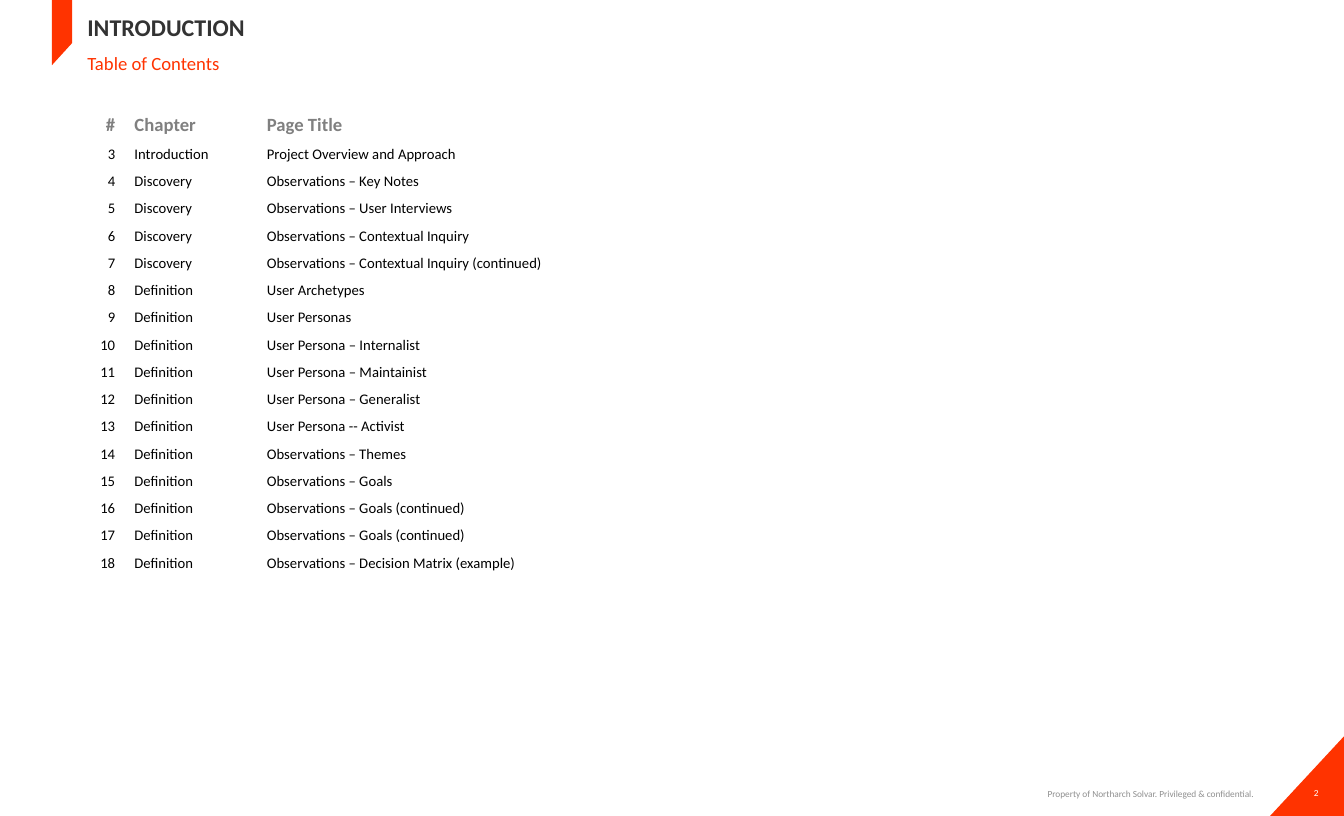
from pptx import Presentation
from pptx.dml.color import RGBColor
from pptx.enum import shapes, text
from pptx.util import Inches, Pt

ORANGE = RGBColor(0xFF, 0x33, 0x00)
WHITE = RGBColor(0xFF, 0xFF, 0xFF)
BLACK = RGBColor(0x00, 0x00, 0x00)
TITLE_GRAY = RGBColor(0x33, 0x33, 0x33)
HEADER_GRAY = RGBColor(0x80, 0x80, 0x80)
FOOTER_GRAY = RGBColor(0x90, 0x90, 0x90)
FONT = "Calibri"
LEFT, CENTER, RIGHT = text.PP_ALIGN.LEFT, text.PP_ALIGN.CENTER, text.PP_ALIGN.RIGHT
TOP, MIDDLE, BOTTOM = text.MSO_ANCHOR.TOP, text.MSO_ANCHOR.MIDDLE, text.MSO_ANCHOR.BOTTOM

HEADERS = ("#", "Chapter", "Page Title")
COLUMN_WIDTHS = (0.43, 1.38, 4.92)
HEADER_HEIGHT, ROW_HEIGHT = 0.29, 0.24
FIRST_PAGE = 3
CHAPTERS = {
    "Introduction": ["Project Overview and Approach"],
    "Discovery": [
        "Observations – Key Notes",
        "Observations – User Interviews",
        "Observations – Contextual Inquiry",
        "Observations – Contextual Inquiry (continued)",
    ],
    "Definition": [
        "User Archetypes",
        "User Personas",
        "User Persona – Internalist",
        "User Persona – Maintainist",
        "User Persona – Generalist",
        "User Persona -- Activist",
        "Observations – Themes",
        "Observations – Goals",
        "Observations – Goals (continued)",
        "Observations – Goals (continued)",
        "Observations – Decision Matrix (example)",
    ],
}


def write(frame, words, size, color, bold=False, align=LEFT):
    frame.text = words
    paragraph = frame.paragraphs[0]
    paragraph.alignment = align
    font = paragraph.runs[0].font
    font.name, font.size, font.bold = FONT, Pt(size), bold
    font.color.rgb = color


def add_text(page, area, words, size, color, bold=False, align=LEFT,
             anchor=MIDDLE, insets=(0.06, 0.03, 0.06, 0.03)):
    box = page.shapes.add_textbox(*map(Inches, area))
    frame = box.text_frame
    frame.word_wrap = True
    frame.vertical_anchor = anchor
    (frame.margin_left, frame.margin_top,
     frame.margin_right, frame.margin_bottom) = map(Inches, insets)
    write(frame, words, size, color, bold, align)


def paint(shape, color):
    shape.shadow.inherit = False
    shape.fill.solid()
    shape.fill.fore_color.rgb = color
    shape.line.fill.background()


def add_ribbon(page):
    start, *others = [(Inches(x), Inches(y)) for x, y in
                      ((0.54, 0), (0.75, 0), (0.75, 0.45), (0.54, 0.68))]
    builder = page.shapes.build_freeform(*start)
    builder.add_line_segments(others, close=True)
    paint(builder.convert_to_shape(), ORANGE)


def add_corner(page):
    corner = page.shapes.add_shape(shapes.MSO_SHAPE.RIGHT_TRIANGLE, Inches(13.2),
                                   Inches(7.7), Inches(0.83), Inches(0.77))
    corner.rotation = 270
    paint(corner, ORANGE)


def add_contents(page):
    entries = [(chapter, title) for chapter, titles in CHAPTERS.items() for title in titles]
    rows = [HEADERS] + [(str(number), *entry)
                        for number, entry in enumerate(entries, FIRST_PAGE)]
    height = HEADER_HEIGHT + ROW_HEIGHT * len(entries)
    table = page.shapes.add_table(len(rows), len(HEADERS), Inches(0.87), Inches(1.13),
                                  Inches(sum(COLUMN_WIDTHS)), Inches(height)).table
    table.first_row = table.horz_banding = False
    for column, width in zip(table.columns, COLUMN_WIDTHS):
        column.width = Inches(width)
    for r, row in enumerate(rows):
        header = r == 0
        table.rows[r].height = Inches(HEADER_HEIGHT if header else ROW_HEIGHT)
        for c, words in enumerate(row):
            cell = table.cell(r, c)
            cell.fill.background()
            cell.vertical_anchor = TOP if header else BOTTOM
            write(cell.text_frame, words, 14 if header else 11,
                  HEADER_GRAY if header else BLACK, header, RIGHT if c == 0 else LEFT)


def main():
    deck = Presentation()
    deck.slide_width, deck.slide_height = Inches(14), Inches(8.5)
    page = deck.slides.add_slide(deck.slide_layouts[6])

    # Footer and page number
    add_text(page, (9.96, 8.11, 3.1, 0.32),
             "Property of Northarch Solvar. Privileged & confidential.",
             7, FOOTER_GRAY, align=RIGHT, insets=(0.08, 0.04, 0, 0.04))
    add_corner(page)
    add_text(page, (13.45, 8.17, 0.52, 0.18), "2", 7, WHITE, align=CENTER)

    # Heading
    add_ribbon(page)
    add_text(page, (0.85, 0, 11.81, 0.56), "INTRODUCTION", 18, TITLE_GRAY, bold=True)
    add_text(page, (0.85, 0.51, 11.81, 0.56), "Table of Contents", 14, ORANGE, anchor=TOP)

    # Table of contents
    add_contents(page)
    deck.save("out.pptx")


if __name__ == "__main__":
    main()
